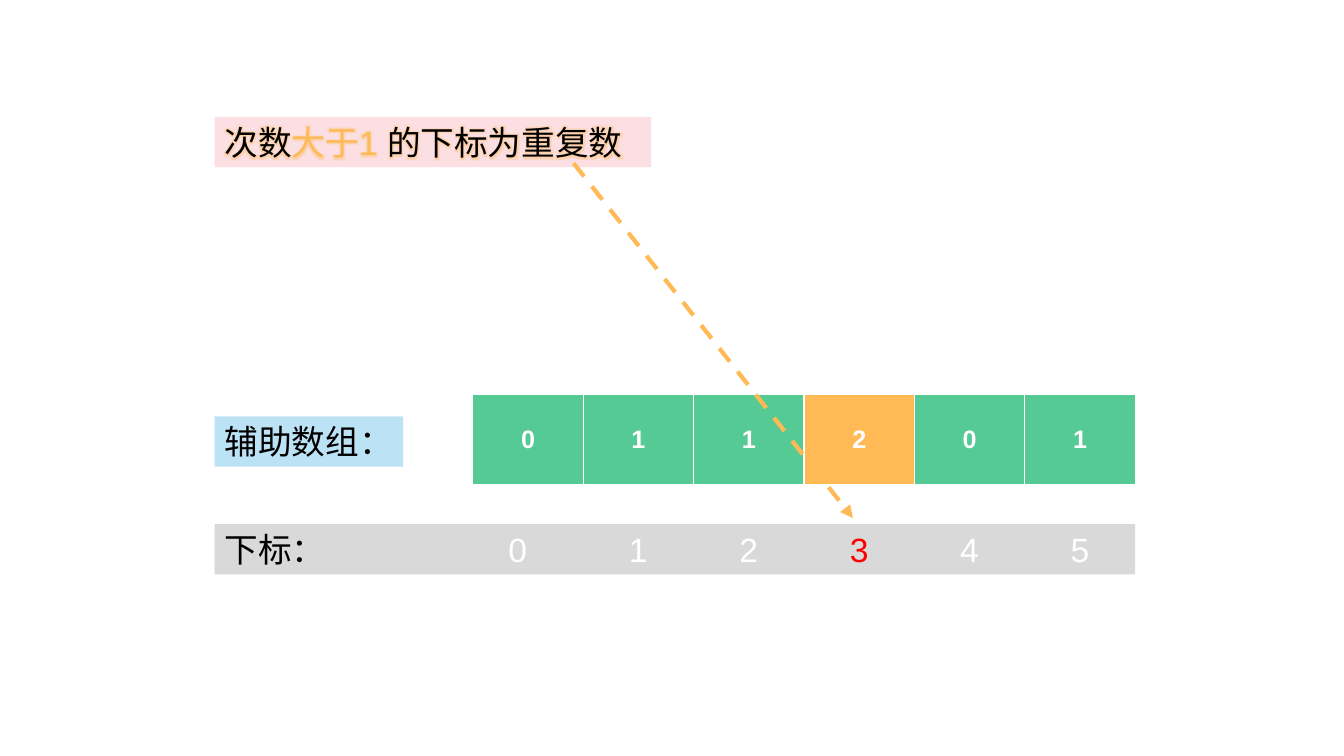
from dataclasses import dataclass

from lxml import etree
from pptx import Presentation
from pptx.dml.color import RGBColor
from pptx.enum import dml, shapes, text
from pptx.oxml import ns
from pptx.util import Inches, Pt

COLORS = {
    "white": "FFFFFF", "black": "000000", "red": "FF0000", "green": "56CA95",
    "orange": "FFBA55", "blue": "BCE2F5", "gray": "D9D9D9", "pink": "FBDFE3",
}
FONT = "Arial"
LEFT, LABEL_HEIGHT, TEXT_INSET = 2.13, 0.5, 0.1
ARRAY_LEFT, ARRAY_TOP, CELL_WIDTH, CELL_HEIGHT = 4.69, 3.91, 1.095, 0.91
COUNTS = [0, 1, 1, 2, 0, 1]
REPEATED = 3


@dataclass
class Phrase:
    """A stretch of label text in one colour."""
    words: str
    color: str = "black"
    glow: bool = False


@dataclass
class Label:
    """A filled strip of text."""
    top: float
    width: float
    fill: str
    phrases: list[Phrase]


def rgb(color: str) -> RGBColor:
    """Look up a named colour."""
    return RGBColor.from_string(COLORS[color])


def add_child(parent, tag: str, **attributes: str):
    """Append a DrawingML element."""
    return etree.SubElement(parent, ns.qn(tag), attributes)


def add_glow(run) -> None:
    """Put an orange halo round a run, in its place after the fill."""
    properties = run._r.get_or_add_rPr()
    effects = etree.Element(ns.qn("a:effectLst"))
    glow = add_child(effects, "a:glow", rad=str(Pt(5)))
    color = add_child(glow, "a:srgbClr", val=COLORS["orange"])
    add_child(color, "a:alpha", val="40000")
    properties.find(ns.qn("a:solidFill")).addnext(effects)


def add_label(slide, label: Label):
    """Draw a strip and return its paragraph."""
    strip = slide.shapes.add_shape(
        shapes.MSO_SHAPE.RECTANGLE, Inches(LEFT), Inches(label.top),
        Inches(label.width), Inches(LABEL_HEIGHT))
    strip.shadow.inherit = False
    strip.fill.solid()
    strip.fill.fore_color.rgb = rgb(label.fill)
    strip.line.fill.background()
    frame = strip.text_frame
    frame.word_wrap = True
    frame.vertical_anchor = text.MSO_ANCHOR.TOP
    paragraph = frame.paragraphs[0]
    paragraph.alignment = text.PP_ALIGN.LEFT
    paragraph.font.size, paragraph.font.name = Pt(24), FONT
    for phrase in label.phrases:
        run = paragraph.add_run()
        run.text = phrase.words
        run.font.color.rgb = rgb(phrase.color)
        if phrase.glow:
            add_glow(run)
    return paragraph


def add_index_tabs(paragraph) -> None:
    """Centre the indices under the cells; the first sits slightly left."""
    stops = etree.Element(ns.qn("a:tabLst"))
    for index in range(len(COUNTS)):
        center = ARRAY_LEFT + CELL_WIDTH * (index + 0.5) - LEFT - TEXT_INSET
        if index == 0:
            center -= 0.1
        add_child(stops, "a:tab", pos=str(Inches(center)), algn="ctr")
    paragraph._p.get_or_add_pPr().insert(0, stops)


def add_borders(cell) -> None:
    """Give a cell white borders, thicker at the bottom."""
    properties = cell._tc.get_or_add_tcPr()
    for place, (side, width) in enumerate(
            [("L", 1), ("R", 1), ("T", 1), ("B", 3)]):
        line = etree.Element(ns.qn(f"a:ln{side}"), w=str(Pt(width)))
        fill = add_child(line, "a:solidFill")
        add_child(fill, "a:srgbClr", val=COLORS["white"])
        properties.insert(place, line)


def add_counts(slide) -> None:
    """Draw the helper array with the repeated number highlighted."""
    array = slide.shapes.add_table(
        1, len(COUNTS), Inches(ARRAY_LEFT), Inches(ARRAY_TOP),
        Inches(CELL_WIDTH * len(COUNTS)), Inches(CELL_HEIGHT)).table
    for index, count in enumerate(COUNTS):
        cell = array.cell(0, index)
        cell.text = str(count)
        cell.vertical_anchor = text.MSO_ANCHOR.MIDDLE
        cell.fill.solid()
        cell.fill.fore_color.rgb = rgb("orange" if index == REPEATED else "green")
        paragraph = cell.text_frame.paragraphs[0]
        paragraph.alignment = text.PP_ALIGN.CENTER
        font = paragraph.font
        font.size, font.name, font.bold = Pt(18), FONT, True
        font.color.rgb = rgb("white")
        add_borders(cell)


def add_pointer(slide) -> None:
    """Draw the dashed arrow from the rule to the repeated index."""
    pointer = slide.shapes.add_connector(
        shapes.MSO_CONNECTOR.STRAIGHT,
        Inches(5.69), Inches(1.62), Inches(8.46), Inches(5.14))
    pointer.line.color.rgb = rgb("orange")
    pointer.line.width = Pt(3)
    pointer.line.dash_style = dml.MSO_LINE.DASH
    add_child(pointer.line._get_or_add_ln(), "a:tailEnd", type="triangle")
    add_child(pointer._element.spPr, "a:effectLst")


def main() -> None:
    """Build and save the slide."""
    deck = Presentation()
    deck.slide_width, deck.slide_height = Inches(13.33), Inches(7.5)
    slide = deck.slides.add_slide(deck.slide_layouts[6])
    add_counts(slide)
    add_label(slide, Label(4.13, 1.87, "blue", [Phrase("辅助数组：")]))
    indices = [Phrase(f"\t{index}", "red" if index == REPEATED else "white")
               for index in range(len(COUNTS))]
    add_index_tabs(add_label(
        slide, Label(5.2, 9.13, "gray", [Phrase("下标："), *indices])))
    add_label(slide, Label(1.16, 4.33, "pink", [
        Phrase("次数"), Phrase("大于1 ", "orange", glow=True),
        Phrase("的下标为重复数", glow=True)]))
    add_pointer(slide)
    deck.save("out.pptx")


main()
